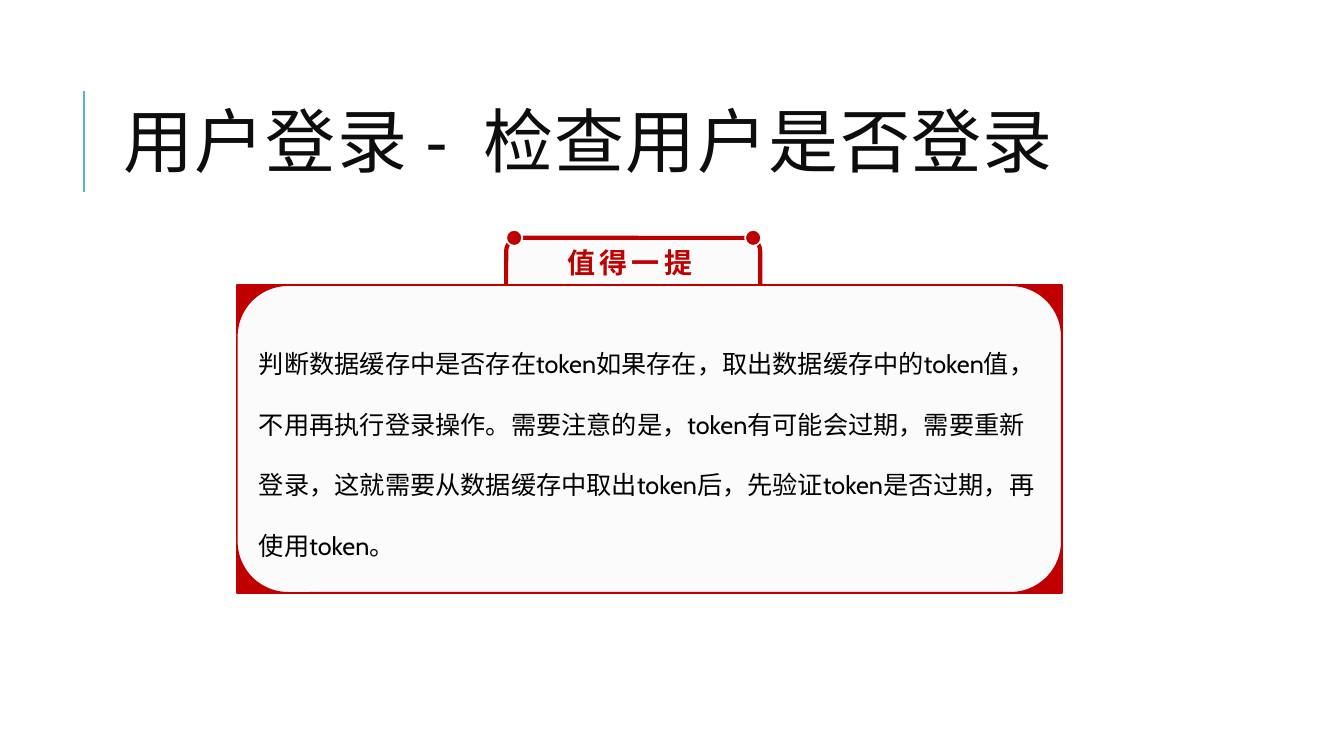
import pptx
import pptx.util
import pptx.dml.color
import pptx.enum.shapes
import pptx.enum.text
import pptx.oxml
import pptx.oxml.ns
import lxml.etree

Inches = pptx.util.Inches
Pt = pptx.util.Pt
Kind = pptx.enum.shapes.MSO_SHAPE
Fit = pptx.enum.text.MSO_AUTO_SIZE
Anchor = pptx.enum.text.MSO_ANCHOR
Align = pptx.enum.text.PP_ALIGN

theme = {
    "red": "C00000", "pale": "FBFBFB", "white": "FFFFFF",
    "teal": "58B6C0", "ink": "0D0D0D", "black": "000000",
    "head": 50, "label": 20, "body": 18,
    "latin": "Calibri", "text": "Cabin", "han": "Noto Sans CJK SC",
}


def tint(name):
    return pptx.dml.color.RGBColor.from_string(theme[name])


def write(frame, words, size, face, color, gap=0, bold=False):
    """Add one run, with its Latin and Chinese fonts."""
    run = frame.paragraphs[0].add_run()
    run.text = words
    font = run.font
    font.size, font.name, font.bold = Pt(theme[size]), theme[face], bold
    font.color.rgb = tint(color)
    props = run._r.get_or_add_rPr()
    if gap:
        props.set("spc", str(gap * 100))
    han = pptx.oxml.ns.qn("a:ea")
    props.find(pptx.oxml.ns.qn("a:latin")).addnext(
        props.makeelement(han, {"typeface": theme["han"]}))


deck = pptx.Presentation()
deck.slide_width, deck.slide_height = Inches(13.33), Inches(7.5)
slide = deck.slides.add_slide(deck.slide_layouts[5])
shapes = slide.shapes

# Rule beside the title
rule = shapes.add_connector(
    pptx.enum.shapes.MSO_CONNECTOR.STRAIGHT,
    Inches(0.83), Inches(1.9), Inches(0.83), Inches(0.9))
rule.line.color.rgb = tint("teal")
rule.line.width = Pt(1.5)
lxml.etree.SubElement(rule._element.spPr, pptx.oxml.ns.qn("a:effectLst"))

# Title
title = shapes.title
title.left, title.top = Inches(1.12), Inches(0.64)
title.width, title.height = Inches(10.63), Inches(1.64)
frame = title.text_frame
frame.auto_size = Fit.NONE
frame.word_wrap = True
frame.vertical_anchor = Anchor.MIDDLE
frame.paragraphs[0].alignment = Align.LEFT
frame.paragraphs[0].line_spacing = 0.8
write(frame, "用户登录 -  检查用户是否登录", "head", "latin", "ink", gap=1)

# Tab, card with red corners, and a dot on each end of the tab
tab = (5.02, 2.36, 2.52, 0.79)
card = (2.35, 2.83, 8.18, 3.05)
dot = 0.16
parts = [
    (Kind.ROUNDED_RECTANGLE, tab, "pale", "red", 3),
    (Kind.FLOWCHART_PROCESS, card, "red", "red", 1.25),
    (Kind.FLOWCHART_ALTERNATE_PROCESS, card, "pale", "red", 1),
]
for left in (tab[0], tab[0] + tab[2] - dot + 0.01):
    spot = (left, tab[1] - dot / 2, dot, dot)
    parts.append((Kind.OVAL, spot, "red", "white", 1.25))

for kind, box, fill, edge, width in parts:
    shape = shapes.add_shape(kind, *map(Inches, box))
    shape.shadow.inherit = False
    shape.fill.solid()
    shape.fill.fore_color.rgb = tint(fill)
    shape.line.color.rgb = tint(edge)
    shape.line.width = Pt(width)

# Label on the tab
label = shapes.add_textbox(*map(Inches, (5.53, 2.39, 1.5, 0.44))).text_frame
label.word_wrap = False
label.auto_size = Fit.SHAPE_TO_FIT_TEXT
write(label, "值得一提", "label", "han", "red", gap=3, bold=True)

# Body text in the card
body = shapes.add_textbox(*map(Inches, (2.47, 3.11, 8.02, 2.52))).text_frame
body.word_wrap = True
body.auto_size = Fit.SHAPE_TO_FIT_TEXT
body.paragraphs[0].line_spacing = 2.0
write(body, "判断数据缓存中是否存在token如果存在，取出数据缓存中的token值，"
      "不用再执行登录操作。需要注意的是，token有可能会过期，需要重新登录，"
      "这就需要从数据缓存中取出token后，先验证token是否过期，再使用token。",
      "body", "text", "black")

deck.save("out.pptx")
